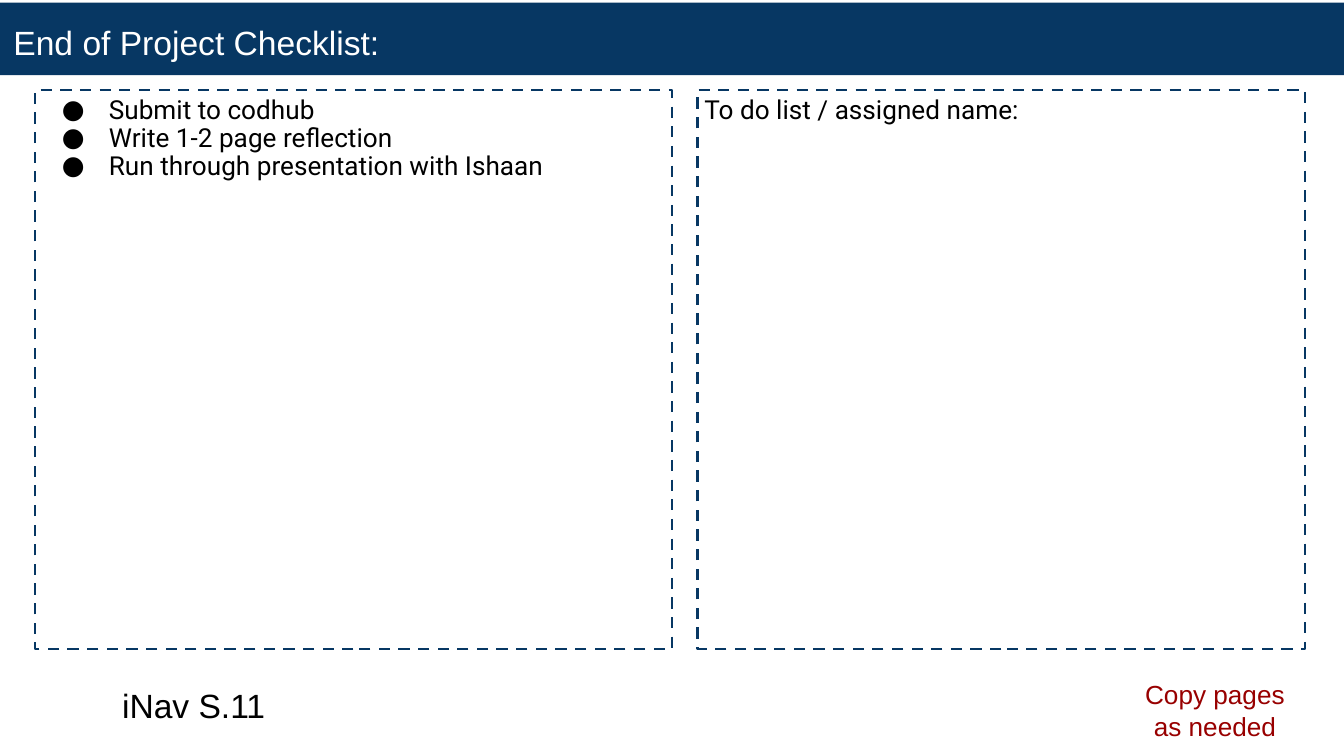
import pptx
import pptx.dml.color
import pptx.enum.dml
import pptx.enum.text
import pptx.oxml
import pptx.oxml.ns
import pptx.util
from pptx.util import Inches

NAVY = pptx.dml.color.RGBColor(0x07, 0x37, 0x63)
WHITE = pptx.dml.color.RGBColor(0xFF, 0xFF, 0xFF)
BLACK = pptx.dml.color.RGBColor(0x00, 0x00, 0x00)
DARK_RED = pptx.dml.color.RGBColor(0x98, 0x00, 0x00)

ANCHOR = pptx.enum.text.MSO_ANCHOR
ALIGN = pptx.enum.text.PP_ALIGN


class ChecklistSlide:
    heading_font = "Arial"
    body_font = "Roboto"
    heading_size = 18
    body_size = 14

    def __init__(self, presentation):
        self.slide = presentation.slides.add_slide(presentation.slide_layouts[3])

    def place(self, shape, left, top, width, height):
        shape.left, shape.top = Inches(left), Inches(top)
        shape.width, shape.height = Inches(width), Inches(height)

    def frame(self, shape, inset, anchor):
        frame = shape.text_frame
        frame.word_wrap = True
        frame.auto_size = pptx.enum.text.MSO_AUTO_SIZE.NONE
        frame.vertical_anchor = anchor
        frame.margin_left = frame.margin_right = Inches(inset)
        frame.margin_top = frame.margin_bottom = Inches(inset)
        return frame

    def style(self, paragraph, name, size, color, alignment=ALIGN.LEFT):
        paragraph.alignment = alignment
        paragraph.font.name = name
        paragraph.font.size = pptx.util.Pt(size)
        paragraph.font.color.rgb = color

    def bullet(self, paragraph, bulleted):
        properties = paragraph._p.get_or_add_pPr()
        properties.set("marL", str(Inches(0.5 if bulleted else 0)))
        properties.set("indent", str(Inches(-0.35 if bulleted else 0)))
        namespace = pptx.oxml.ns.nsdecls("a")
        if bulleted:
            elements = [
                f'<a:buClr {namespace}><a:srgbClr val="{BLACK}"/></a:buClr>',
                f'<a:buSzPts {namespace} val="{self.body_size * 100}"/>',
                f'<a:buFont {namespace} typeface="{self.body_font}"/>',
                f'<a:buChar {namespace} char="●"/>',
            ]
        else:
            elements = [f"<a:buNone {namespace}/>"]
        for element in elements:
            properties.append(pptx.oxml.parse_xml(element))

    def title(self, text, *box):
        shape = self.slide.shapes.title
        self.place(shape, *box)
        shape.fill.solid()
        shape.fill.fore_color.rgb = NAVY
        frame = self.frame(shape, 0.1, ANCHOR.BOTTOM)
        frame.text = text
        self.style(frame.paragraphs[0], self.heading_font, self.heading_size, WHITE)

    def panel(self, index, lines, bulleted, *box):
        shape = self.slide.placeholders[index]
        self.place(shape, *box)
        shape.line.color.rgb = NAVY
        shape.line.width = pptx.util.Pt(1.5)
        shape.line.dash_style = pptx.enum.dml.MSO_LINE.DASH
        frame = self.frame(shape, 0.05, ANCHOR.TOP)
        frame.text = "\n".join(lines)
        for number, paragraph in enumerate(frame.paragraphs):
            paragraph.line_spacing = 0.9
            paragraph.space_before = pptx.util.Pt(0 if number else 15)
            self.bullet(paragraph, bulleted)
            self.style(paragraph, self.body_font, self.body_size, BLACK)

    def label(self, lines, size, color, alignment, anchor, *box):
        shape = self.slide.shapes.add_textbox(*map(Inches, box))
        frame = self.frame(shape, 0.1, anchor)
        paragraph = frame.paragraphs[0]
        for number, line in enumerate(lines):
            if number:
                paragraph.add_line_break()
            paragraph.add_run().text = line
        self.style(paragraph, self.heading_font, size, color, alignment)


def main():
    presentation = pptx.Presentation()
    presentation.slide_width = Inches(10)
    presentation.slide_height = Inches(10) * 9 // 16

    checklist = ChecklistSlide(presentation)
    checklist.title("End of Project Checklist:", 0, 0.02, 10, 0.54)
    tasks = [
        "Submit to codhub",
        "Write 1-2 page reflection",
        "Run through presentation with Ishaan",
    ]
    checklist.panel(1, tasks, True, 0.26, 0.67, 4.74, 4.16)
    checklist.panel(2, ["To do list / assigned name:"], False, 5.19, 0.67, 4.52, 4.16)
    checklist.label(["iNav S.11"], checklist.heading_size, BLACK,
                    ALIGN.LEFT, ANCHOR.BOTTOM, 0.81, 5.03, 1.39, 0.47)
    checklist.label(["Copy pages", "as needed"], checklist.body_size, DARK_RED,
                    ALIGN.CENTER, ANCHOR.TOP, 8.37, 4.95, 1.34, 0.64)

    presentation.save("out.pptx")


if __name__ == "__main__":
    main()
